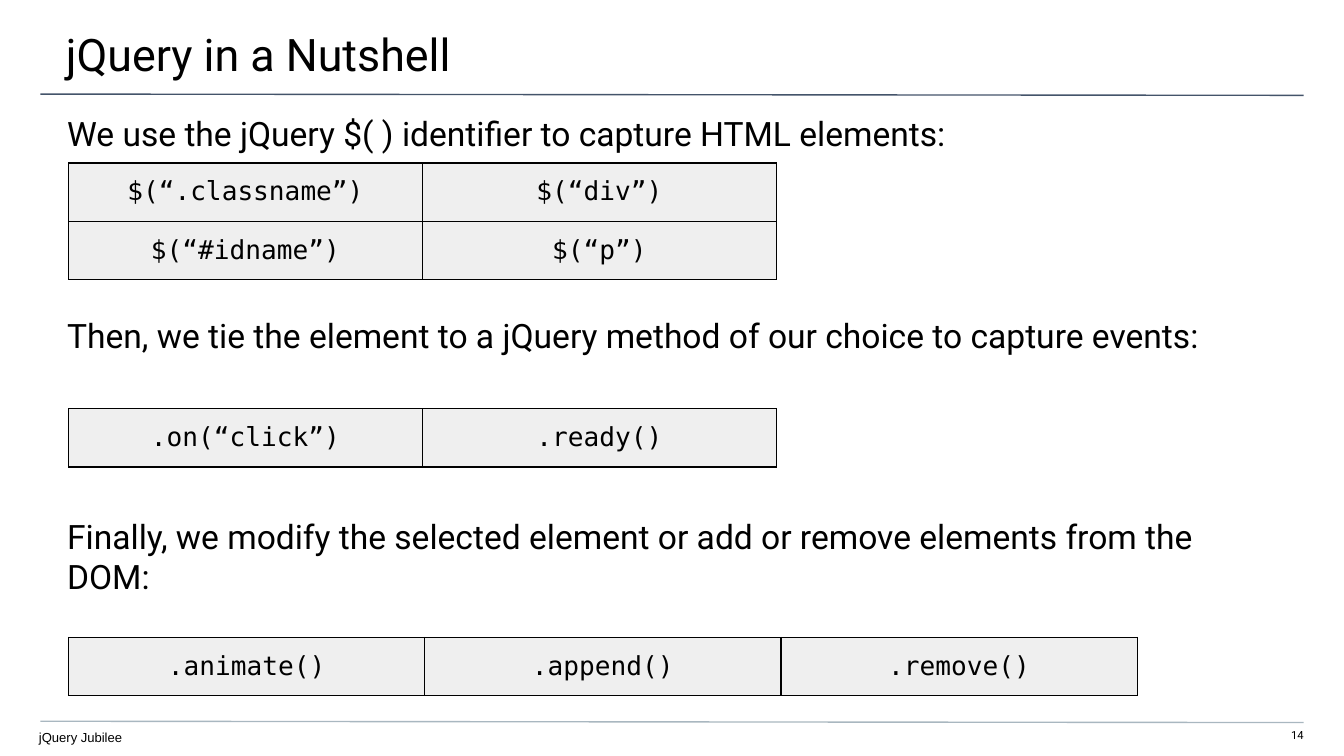
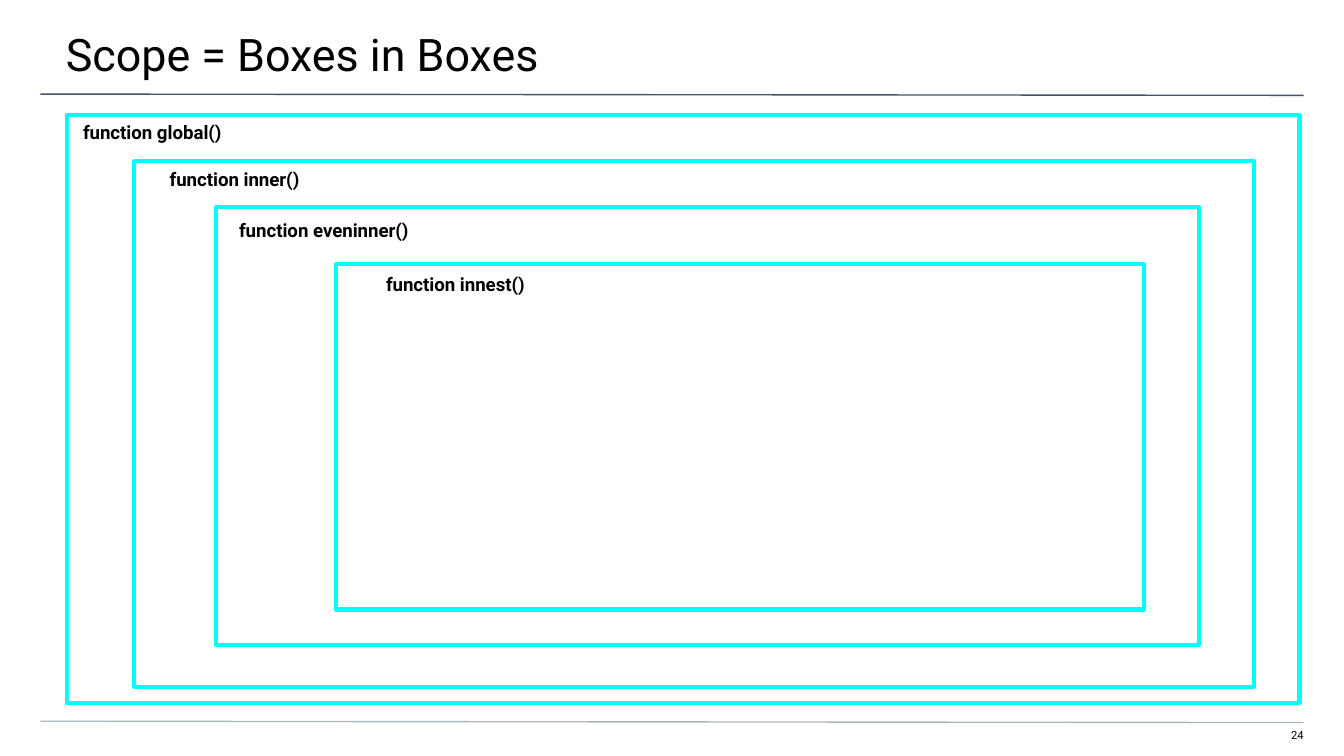
from dataclasses import dataclass

from lxml import etree
from pptx import Presentation
from pptx import util as u
from pptx.dml.color import RGBColor
from pptx.enum import shapes, text
from pptx.oxml import ns

Pt = u.Pt


@dataclass(frozen=True)
class Theme:
    ink: str = "000000"
    paper: str = "FFFFFF"
    title_rule: str = "44546A"
    footer_rule: str = "A9B7C0"
    cell: str = "EFEFEF"
    scope: str = "00FFFF"
    sans: str = "Roboto"
    footer_font: str = "Arial"
    mono: str = "DejaVu Sans Mono"
    title_size: float = 24
    body_size: float = 18
    code_size: float = 14
    label_size: float = 10
    footer_size: float = 7
    number_size: float = 6
    thin: float = 0.75
    thick: float = 2.25


THEME = Theme()
LEFT = text.PP_ALIGN.LEFT
RIGHT = text.PP_ALIGN.RIGHT
CENTER = text.PP_ALIGN.CENTER


def color(value):
    return RGBColor.from_string(value)


def style_para(para, size, font=THEME.sans, bold=False, align=LEFT):
    para.alignment = align
    for span in para.runs:
        span.font.size = Pt(size)
        span.font.name = font
        span.font.bold = bold
        span.font.color.rgb = color(THEME.ink)


def add_text(page, place, lines, size, insets, gap=0, **style):
    """Add one paragraph per line, with gap points between paragraphs."""
    box = page.shapes.add_textbox(*map(Pt, place))
    frame = box.text_frame
    frame.word_wrap = True
    frame.vertical_anchor = text.MSO_ANCHOR.TOP
    (frame.margin_left, frame.margin_top,
     frame.margin_right, frame.margin_bottom) = map(Pt, insets)
    frame.text = "\n".join(lines)
    for index, para in enumerate(frame.paragraphs):
        if index and gap:
            para.space_before = Pt(gap)
        style_para(para, size, **style)


def add_rule(page, top, line_color):
    """Draw a full-width rule that falls slightly to the right."""
    rule = page.shapes.add_connector(
        shapes.MSO_CONNECTOR.STRAIGHT, Pt(21.6), Pt(top), Pt(698.4), Pt(top + 0.7))
    rule.line.color.rgb = color(line_color)
    rule.line.width = Pt(THEME.thin)
    etree.SubElement(rule._element.spPr, ns.qn("a:effectLst"))


def add_page(deck, title, number):
    page = deck.slides.add_slide(deck.slide_layouts[6])
    page.background.fill.solid()
    page.background.fill.fore_color.rgb = color(THEME.paper)
    add_text(page, (677.5, 390.2, 20.9, 8.6), [number], THEME.number_size,
             (0, 0, 0, 7.2), align=RIGHT)
    add_rule(page, 50.4, THEME.title_rule)
    add_rule(page, 386.4, THEME.footer_rule)
    add_text(page, (-0.7, 0, 722, 41.8), [title], THEME.title_size,
             (36, 14.4, 21.6, 7.2))
    return page


def border_cell(cell):
    properties = cell._tc.get_or_add_tcPr()
    for side in ("lnL", "lnR", "lnT", "lnB"):
        line = etree.SubElement(properties, ns.qn(f"a:{side}"), w=str(Pt(THEME.thin)))
        fill = etree.SubElement(line, ns.qn("a:solidFill"))
        etree.SubElement(fill, ns.qn("a:srgbClr"), val=THEME.ink)


def add_code_table(page, top, column_width, rows):
    row_height = 31
    columns = len(rows[0])
    table = page.shapes.add_table(
        len(rows), columns, Pt(36.8), Pt(top),
        Pt(column_width * columns), Pt(row_height * len(rows))).table
    table.first_row = table.horz_banding = False
    for row, codes in zip(table.rows, rows):
        for cell, code in zip(row.cells, codes):
            cell.text_frame.text = code
            style_para(cell.text_frame.paragraphs[0], THEME.code_size,
                       font=THEME.mono, align=CENTER)
            cell.margin_left = cell.margin_right = Pt(7.2)
            cell.margin_top = cell.margin_bottom = Pt(7.2)
            border_cell(cell)
            cell.fill.solid()
            cell.fill.fore_color.rgb = color(THEME.cell)


def add_scope_box(page, place):
    box = page.shapes.add_shape(shapes.MSO_SHAPE.RECTANGLE, *map(Pt, place))
    box.shadow.inherit = False
    box.fill.solid()
    box.fill.fore_color.rgb = color(THEME.paper)
    box.line.color.rgb = color(THEME.scope)
    box.line.width = Pt(THEME.thick)


def add_nutshell_page(deck):
    page = add_page(deck, "jQuery in a Nutshell", "14")
    steps = [
        "We use the jQuery $( ) identifier to capture HTML elements:",
        "Then, we tie the element to a jQuery method of our choice to capture events:",
        "Finally, we modify the selected element or add or remove elements from the DOM:",
    ]
    add_text(page, (0, 53.3, 720, 28.8), steps, THEME.body_size,
             (36, 7.2, 36, 0), gap=86.4)
    add_text(page, (-0.7, 387.4, 627.8, 18), ["jQuery Jubilee"], THEME.footer_size,
             (21.6, 3.6, 0, 0), font=THEME.footer_font)
    add_code_table(page, 87.3, 189.6, [("$(“.classname”)", "$(“div”)"),
                                       ("$(“#idname”)", "$(“p”)")])
    add_code_table(page, 219, 189.6, [(".on(“click”)", ".ready()")])
    add_code_table(page, 341.5, 190.8, [(".animate()", ".append()", ".remove()")])


def add_scope_page(deck):
    page = add_page(deck, "Scope = Boxes in Boxes", "24")
    scopes = [
        # name, box place, label left and top
        ("global", (36, 61.4, 660.2, 315.4), (37.4, 61.4)),
        ("inner", (72, 86.4, 600, 281.5), (83.8, 86.2)),
        ("eveninner", (115.9, 111, 526.3, 234.7), (121, 113.6)),
        ("innest", (180, 141.6, 432.7, 185), (199.7, 142.6)),
    ]
    for name, place, label_corner in scopes:
        add_scope_box(page, place)
        add_text(page, (*label_corner, 168, 21.6), [f"function {name}()"],
                 THEME.label_size, (7.2, 3.6, 7.2, 3.6), bold=True)


def main():
    deck = Presentation()
    deck.slide_width, deck.slide_height = Pt(720), Pt(405)
    add_nutshell_page(deck)
    add_scope_page(deck)
    deck.save("out.pptx")


if __name__ == "__main__":
    main()
